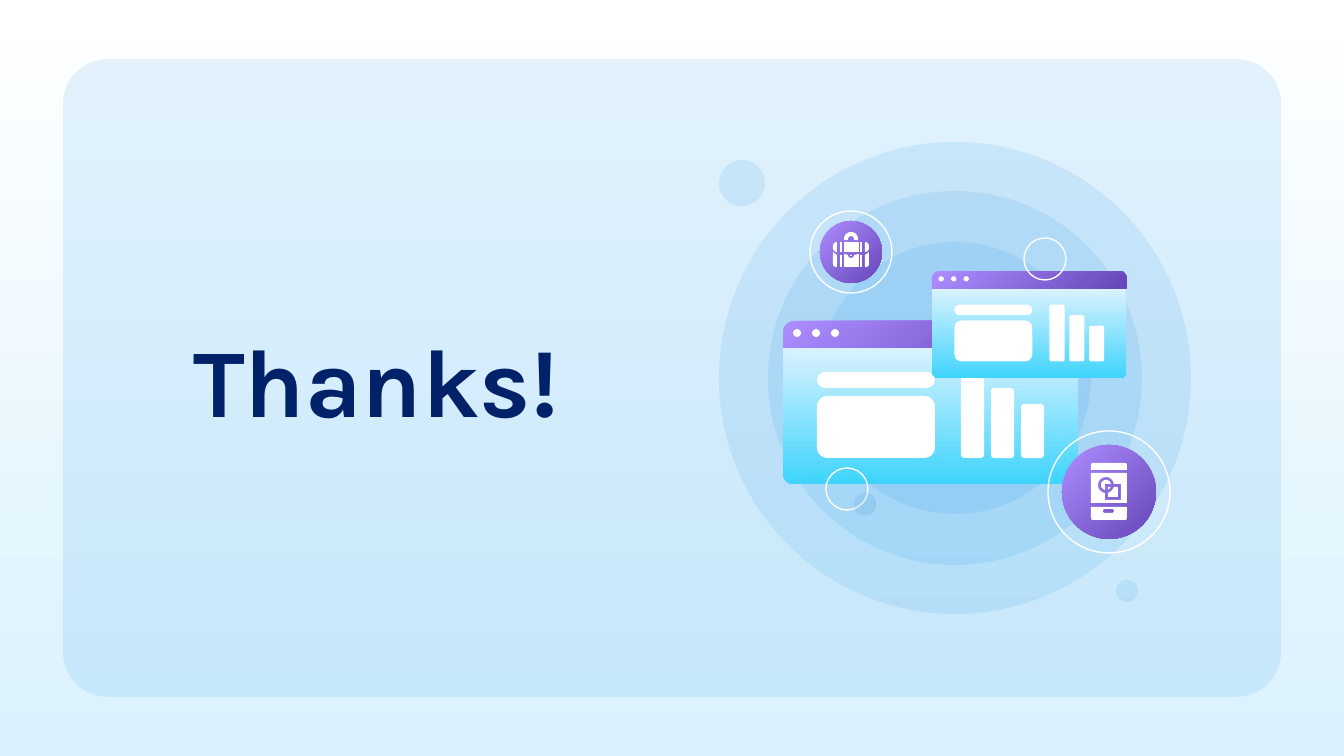
from math import cos, radians, sin

from lxml.etree import SubElement
from pptx import Presentation
from pptx.dml.color import RGBColor
from pptx.enum.shapes import MSO_SHAPE
from pptx.enum.text import MSO_ANCHOR, MSO_AUTO_SIZE, PP_ALIGN
from pptx.oxml.ns import qn
from pptx.util import Emu, Pt

SCALE = 914400 / 134.4  # EMU per px

WHITE = RGBColor(0xFF, 0xFF, 0xFF)
NAVY = RGBColor(0x01, 0x21, 0x69)
BLUE = RGBColor(0x03, 0x88, 0xE5)
DEEP_BLUE = RGBColor(0x00, 0x48, 0xA7)
PALE_BLUE = RGBColor(0xDA, 0xF2, 0xFE)
CYAN = RGBColor(0x3E, 0xD4, 0xFD)
LILAC = RGBColor(0xAD, 0x8D, 0xFF)
PURPLE = RGBColor(0x67, 0x46, 0xB9)

# Gradients: first colour, last colour, counter-clockwise angle
PURPLE_FADE = (LILAC, PURPLE, 315)
CYAN_FADE = (PALE_BLUE, CYAN, 270)
BLUE_FADE = (BLUE, DEEP_BLUE, 315)
PAGE_FADE = (WHITE, PALE_BLUE, 270)


def px(length):
    return Emu(round(length * SCALE))


def paint(fill, paint_with):
    """Fill with one colour or with a gradient; None leaves it empty."""
    if paint_with is None:
        fill.background()
    elif isinstance(paint_with, RGBColor):
        fill.solid()
        fill.fore_color.rgb = paint_with
    else:
        first, last, angle = paint_with
        fill.gradient()
        fill.gradient_angle = angle
        for stop, color in zip(fill.gradient_stops, (first, last)):
            stop.color.rgb = color


def finish(shape, fill, outline=None, opacity=100):
    shape.shadow.inherit = False
    paint(shape.fill, fill)
    paint(shape.line.fill, outline)
    if outline is not None:
        shape.line.width = Pt(0.75)
    if opacity < 100:
        for color in shape._element.spPr.iter(qn("a:srgbClr")):
            SubElement(color, qn("a:alpha")).set("val", str(opacity * 1000))
    return shape


def add_box(slide, kind, left, top, width, height, fill, corners=(), opacity=100):
    box = slide.shapes.add_shape(kind, px(left), px(top), px(width), px(height))
    for index, corner in enumerate(corners):
        box.adjustments[index] = corner
    return finish(box, fill, opacity=opacity)


def add_circle(slide, x, y, radius, fill, outline=None, opacity=100):
    circle = slide.shapes.add_shape(
        MSO_SHAPE.OVAL, px(x - radius), px(y - radius), px(2 * radius), px(2 * radius))
    return finish(circle, fill, outline, opacity)


def add_outline(slide, *contours):
    """White freeform; contours after the first are holes in it."""
    builder = None
    for contour in contours:
        points = [(px(x), px(y)) for x, y in contour]
        if builder is None:
            builder = slide.shapes.build_freeform(*points[0])
        else:
            builder.move_to(*points[0])
        builder.add_line_segments(points[1:], close=True)
    return finish(builder.convert_to_shape(), WHITE)


def arc(x, y, radius, start, end, steps=16):
    """Points on an arc; 0 is right, 90 is down, 270 is up."""
    angles = [radians(start + (end - start) * i / steps) for i in range(steps + 1)]
    return [(x + radius * cos(a), y + radius * sin(a)) for a in angles]


def rectangle(left, top, right, bottom):
    return [(left, top), (right, top), (right, bottom), (left, bottom)]


def add_window(slide, left, top, scale):
    def part(kind, x, y, width, height, fill, *corners):
        add_box(slide, kind, left + x * scale, top + y * scale,
                width * scale, height * scale, fill, corners)

    # Title bar and pane
    part(MSO_SHAPE.ROUND_2_SAME_RECTANGLE, 0, 0, 295, 27, PURPLE_FADE, 0.4, 0)
    part(MSO_SHAPE.ROUND_2_SAME_RECTANGLE, 0, 27, 295, 136, CYAN_FADE, 0, 0.08)
    for column in range(3):
        part(MSO_SHAPE.OVAL, 10 + 19 * column, 8, 8, 8, WHITE)
    # Bars on a common base line
    for column in range(3):
        height = 86 - 16 * column
        part(MSO_SHAPE.ROUNDED_RECTANGLE, 178 + 30 * column, 137 - height,
             23, height, WHITE, 0.14)
    # Text field and content block
    part(MSO_SHAPE.ROUNDED_RECTANGLE, 34, 51, 118, 16, WHITE, 0.5)
    part(MSO_SHAPE.ROUNDED_RECTANGLE, 34, 75, 118, 62, WHITE, 0.17)


def add_badge(slide, x, y, ring, disc):
    add_circle(slide, x, y, ring, None, WHITE)
    add_circle(slide, x, y, disc, PURPLE_FADE)


def add_case_icon(slide):
    middle = 851
    upper_end = [(837, 242), *arc(837, 246, 4, 270, 180),
                 *arc(837, 248, 4, 180, 90), (837, 252)]
    lower_end = [(833, 252), (837, 255), (837, 267), *arc(836, 264, 3, 90, 180)]
    straps = [rectangle(840, 242, 842, 252), rectangle(840, 255, 842, 267)]
    # Ends and straps, the same on both sides
    for side in (upper_end, lower_end, *straps):
        add_outline(slide, side)
        add_outline(slide, [(2 * middle - x, y) for x, y in side])
    # Middle panels, clasp and handle
    add_outline(slide, rectangle(844, 242, 859, 252))
    add_outline(slide, [(844, 254), *arc(middle, 255, 3, 180, 0),
                        (859, 254), (859, 267), (844, 267)])
    add_outline(slide, arc(middle, 255, 1, 180, 0))
    add_outline(slide, [*arc(middle, 239, 7, 180, 360), (858, 240), (854, 240),
                        *arc(middle, 239, 3, 360, 180), (848, 240), (844, 240)])


def add_phone_icon(slide):
    left, right = 1091, 1127
    x, y = 1106, 485  # centre of the ring on the screen
    # Top edge
    add_outline(slide, [*arc(left + 2, 465, 2, 180, 270),
                        *arc(right - 2, 465, 2, 270, 360), (right, 470), (left, 470)])
    # Screen with the ring and square cut out
    add_outline(slide, rectangle(left, 473, right, 503),
                [*arc(x, y, 8, 353, 97), (1105, 500), (1121, 500), (1121, 484)])
    add_outline(slide, [*arc(x, y, 5, 350, 100), (1105, 484)])
    add_outline(slide, [(1108, 487), *arc(x, y, 5, 24, 66)])
    add_outline(slide, [*arc(x, y, 8, 14, 76), (1108, 497), (1118, 497), (1118, 487)])
    # Bottom edge with the button slot
    add_outline(slide, [(left, 507), (right, 507), *arc(right - 2, 518, 2, 0, 90),
                        *arc(left + 2, 518, 2, 90, 180)],
                [*arc(1105, 511, 2, 270, 90), *arc(1112, 511, 2, 90, -90)])


def set_title(slide, text):
    title = slide.shapes.title
    title.left, title.top, title.width, title.height = px(180), px(306), px(417), px(144)
    frame = title.text_frame
    frame.text = text
    frame.word_wrap = True
    frame.auto_size = MSO_AUTO_SIZE.NONE
    frame.vertical_anchor = MSO_ANCHOR.BOTTOM
    frame.margin_left = frame.margin_right = px(13)
    frame.margin_top = frame.margin_bottom = px(13)
    paragraph = frame.paragraphs[0]
    paragraph.alignment = PP_ALIGN.LEFT
    font = paragraph.runs[0].font
    font.name, font.size, font.bold = "Karla", Pt(52), True
    font.color.rgb = NAVY


def main():
    deck = Presentation()
    deck.slide_width, deck.slide_height = px(1344), px(756)
    slide = deck.slides.add_slide(deck.slide_layouts[0])
    subtitle = slide.placeholders[1]._element
    subtitle.getparent().remove(subtitle)
    paint(slide.background.fill, PAGE_FADE)

    # Panel behind the title
    panel = add_box(slide, MSO_SHAPE.ROUNDED_RECTANGLE, 63, 59, 1218, 638,
                    BLUE, [0.07], 10)
    slide.shapes._spTree.insert(2, panel._element)
    set_title(slide, "Thanks!")

    # Halo and badges around the windows
    for radius in (236, 187, 136):
        add_circle(slide, 955, 378, radius, BLUE, opacity=10)
    add_badge(slide, 851, 252, 41, 31)
    add_case_icon(slide)
    add_window(slide, 783, 321, 1)
    add_window(slide, 932, 271, 0.66)
    add_badge(slide, 1109, 492, 61, 47)
    add_phone_icon(slide)

    # Loose rings and dots
    add_circle(slide, 847, 489, 21, None, WHITE)
    add_circle(slide, 865, 504, 11, BLUE_FADE, opacity=10)
    add_circle(slide, 1045, 259, 21, None, WHITE)
    add_circle(slide, 742, 183, 23, BLUE, opacity=10)
    add_circle(slide, 1127, 591, 11, BLUE, opacity=10)

    deck.save("out.pptx")


if __name__ == "__main__":
    main()
